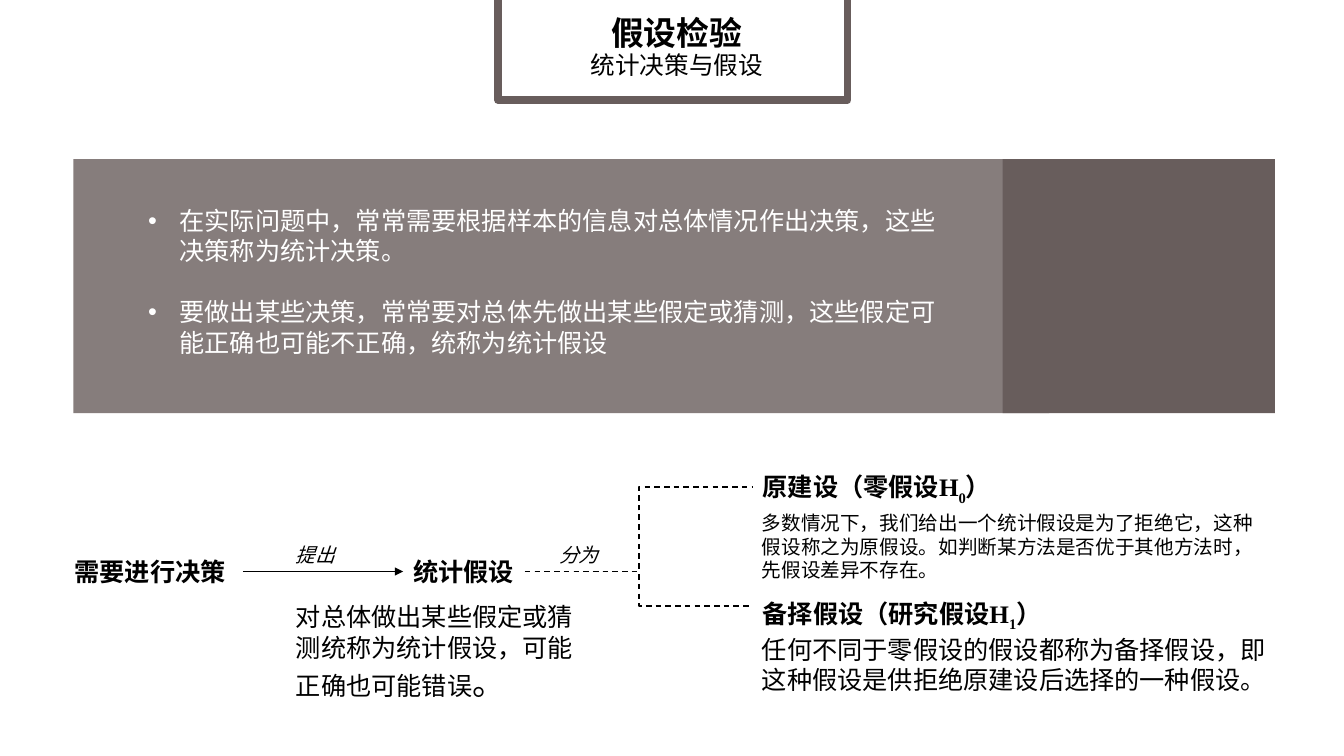
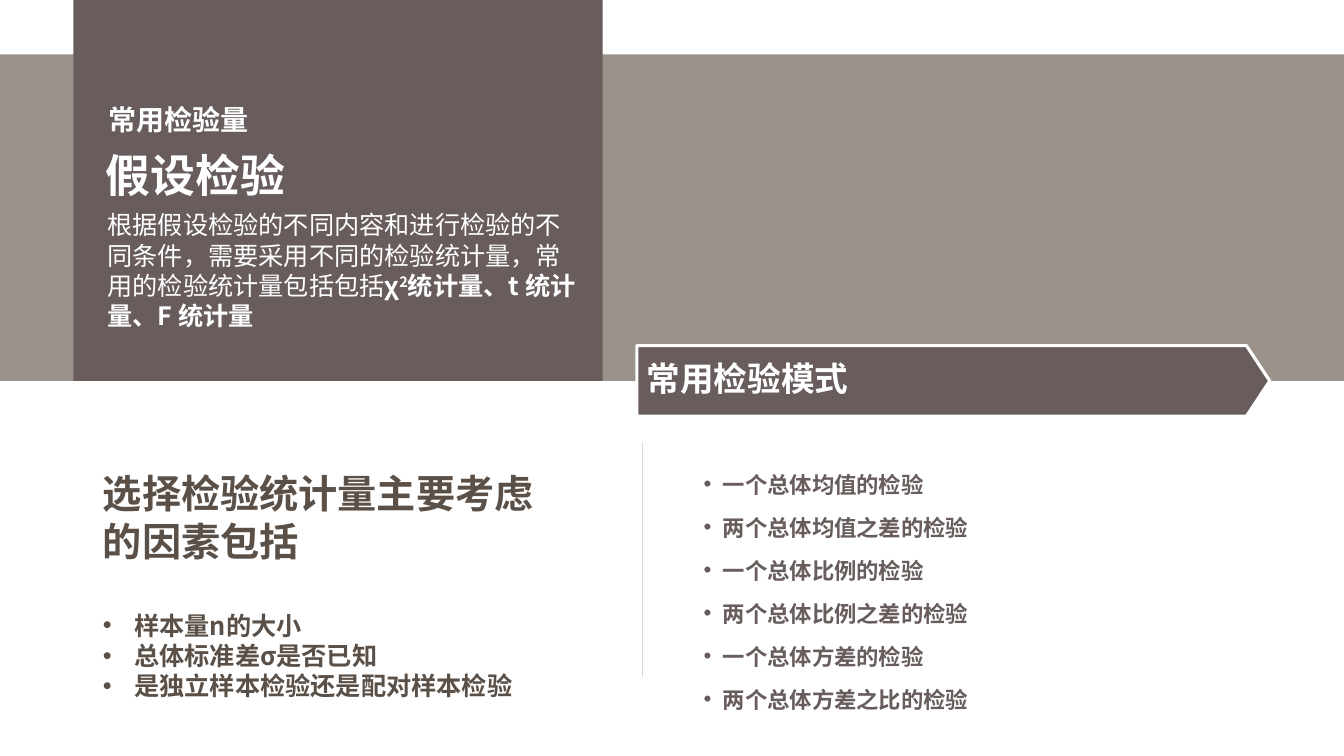
from copy import deepcopy

from lxml.etree import SubElement
from pptx import Presentation
from pptx.dml.color import RGBColor
from pptx.enum.dml import MSO_LINE
from pptx.enum.shapes import MSO_CONNECTOR as LINK, MSO_SHAPE as SHAPE
from pptx.enum.text import MSO_ANCHOR as ANCHOR, MSO_AUTO_SIZE as FIT, PP_ALIGN as ALIGN
from pptx.oxml.ns import qn
from pptx.util import Cm, Pt

COLORS = {
    "dark": "685D5C",
    "taupe": "9B928C",
    "brown": "5B5047",
    "rule": "D9D9D9",
    "black": "000000",
    "white": "FFFFFF",
}
SANS, SERIF, LATIN = "Noto Sans CJK SC", "Times New Roman", "Calibri"


def color(name):
    """Return a named colour of the palette."""
    return RGBColor.from_string(COLORS[name])


def style(p, size, ink="black", font=SANS, bold=False, italic=False, align=ALIGN.LEFT, spacing=1.0, before=0):
    """Format a paragraph and all of its runs."""
    p.alignment, p.line_spacing, p.space_before = align, spacing, Pt(before)
    for r in p.runs:
        r.font.size, r.font.bold, r.font.italic = Pt(size), bold, italic
        r.font.color.rgb = color(ink)
        r.font.name = font
        SubElement(r.font._element, qn("a:ea"), typeface=SANS)


def extend(p, text, baseline=0, **changes):
    """Add a run formatted like the first one, apart from the changes."""
    first, r = p.runs[0], p.add_run()
    r.text = text
    r._r.insert(0, deepcopy(first.font._element))
    r.font._element.set("baseline", str(baseline * 1000))
    for name, value in changes.items():
        setattr(r.font, name, value)


def set_bullet(p, indent):
    """Give a paragraph a hanging bullet, or none when the indent is zero."""
    pPr = p._p.get_or_add_pPr()
    pPr.set("marL", str(Cm(indent)))
    pPr.set("indent", str(-Cm(indent)))
    if indent:
        SubElement(pPr, qn("a:buChar"), char="•")
    else:
        SubElement(pPr, qn("a:buNone"))


def add_block(s, box, fill=None, line=None, width=1, kind=SHAPE.RECTANGLE, opacity=100):
    """Draw a flat preset shape."""
    sp = s.shapes.add_shape(kind, *map(Cm, box))
    sp.shadow.inherit = False
    if fill:
        sp.fill.solid()
        sp.fill.fore_color.rgb = color(fill)
        if opacity < 100:
            SubElement(sp.element.spPr.find(".//" + qn("a:srgbClr")), qn("a:alpha"), val=str(opacity * 1000))
    else:
        sp.fill.background()
    if line:
        sp.line.color.rgb, sp.line.width = color(line), Pt(width)
    else:
        sp.line.fill.background()
    return sp


def add_text(s, box, text, size, **look):
    """Add a wrapped text box and return its paragraph."""
    tf = s.shapes.add_textbox(*map(Cm, box)).text_frame
    tf.word_wrap = True
    tf.text = text
    p = tf.paragraphs[0]
    style(p, size, **look)
    return p


def add_link(s, start, end, ink="black", width=1, kind=LINK.STRAIGHT, dashed=False, arrow=False):
    """Join two points with a line."""
    c = s.shapes.add_connector(kind, *map(Cm, start + end))
    c.line.color.rgb, c.line.width = color(ink), Pt(width)
    if dashed:
        c.line.dash_style = MSO_LINE.DASH
    if arrow:
        SubElement(c.line._get_or_add_ln(), qn("a:tailEnd"), type="triangle")
    SubElement(c.element.spPr, qn("a:effectLst"))


def place(s, index, box, text, anchor=ANCHOR.TOP):
    """Move a placeholder to the front and fill it."""
    sp = s.placeholders[index]
    s.shapes.element.append(sp.element)
    sp.left, sp.top, sp.width, sp.height = map(Cm, box)
    tf = sp.text_frame
    tf.auto_size, tf.vertical_anchor, tf.word_wrap = FIT.NONE, anchor, True
    tf.text = text
    return tf.paragraphs


def place_list(s, index, box, items, size, indent, **look):
    """Fill a body placeholder with a bulleted list."""
    paragraphs = place(s, index, box, "\n".join(items))
    for p in paragraphs:
        style(p, size, **look)
        set_bullet(p, indent)
    return paragraphs


def build_decision(prs):
    """Build the slide on statistical decisions and hypotheses."""
    s = prs.slides.add_slide(prs.slide_layouts[1])
    add_block(s, (25.27, 4.01, 6.86, 6.4), "dark")
    add_block(s, (1.85, 4.01, 24.59, 6.4), "dark", opacity=80)
    add_block(s, (12.55, -1.52, 8.81, 4.04), line="dark", width=5.5)
    p = place(s, 0, (12.65, -0.25, 8.81, 2.95), "假设检验\v统计决策与假设", ANCHOR.MIDDLE)[0]
    style(p, 23.4, bold=True, align=ALIGN.CENTER, spacing=0.9)
    p.runs[1].font.size, p.runs[1].font.bold = Pt(17.6), False
    items = place_list(s, 1, (3.48, 5.05, 20.73, 4.11), [
        "在实际问题中，常常需要根据样本的信息对总体情况作出决策，这些决策称为统计决策。",
        "要做出某些决策，常常要对总体先做出某些假定或猜测，这些假定可能正确也可能不正确，统称为统计假设",
    ], 18, 0.79, ink="white")
    items[1].space_before = Pt(22)

    axis, fork = 14.4, (13.23, 14.4)
    for left, width, text in ((1.63, 4.5, "需要进行决策"), (10.16, 3.07, "统计假设")):
        add_text(s, (left, axis - 0.51, width, 1.02), text, 18, font=SERIF, bold=True)
    add_link(s, (6.12, axis), (10.16, axis), arrow=True)
    for left, text in ((7.21, "提出"), (13.84, "分为")):
        add_text(s, (left, 13.55, 4.5, 0.86), text, 14, font=SERIF, italic=True)
    for y, text, number in ((12.27, "原建设（零假设H", "0"), (15.27, "备择假设（研究假设H", "1")):
        add_link(s, fork, (18.97, y), kind=LINK.ELBOW, dashed=True)
        top = y - 0.51 if number == "0" else y - 0.33
        p = add_text(s, (18.97, top, 8.89, 1.02), text, 18, font=SERIF, bold=True)
        extend(p, number, -25)
        extend(p, "）")
    p = add_text(s, (7.21, 15.04, 7.85, 2.82),
                 "对总体做出某些假定或猜测统称为统计假设，可能正确也可能错误", 18, font=LATIN)
    extend(p, "。", size=Pt(24))
    add_text(s, (18.95, 12.75, 13.18, 2.06),
             "多数情况下，我们给出一个统计假设是为了拒绝它，这种假设称之为原假设。"
             "如判断某方法是否优于其他方法时，先假设差异不存在。", 14)
    add_text(s, (18.95, 15.85, 13.49, 1.8),
             "任何不同于零假设的假设都称为备择假设，即这种假设是供拒绝原建设后选择的一种假设。", 18, font=LATIN)


def build_statistics(prs):
    """Build the slide on common test statistics."""
    s = prs.slides.add_slide(prs.slide_layouts[3])
    add_block(s, (0, 1.37, 33.87, 8.23), "taupe")
    sp = add_block(s, (16.05, 8.71, 15.95, 1.78), "dark", "white", 2.25, SHAPE.PENTAGON)
    sp.adjustments[0] = 0.33
    sp.text_frame.text = "常用检验模式"
    style(sp.text_frame.paragraphs[0], 24, "white", LATIN, bold=True, spacing=0.9)
    add_block(s, (1.85, 0, 13.34, 9.6), "dark")
    add_link(s, (16.18, 11.15), (16.18, 17.07), "rule", 0.25)

    p = place(s, 0, (2.41, 2.92, 12.95, 1.88), "假设检验")[0]
    style(p, 32, "white", bold=True, spacing=1.5)
    add_text(s, (2.49, 2.03, 5, 1.55), "常用检验量", 20, ink="white", bold=True, spacing=1.5)
    p = add_text(s, (2.46, 5.16, 12.34, 3.33),
                 "根据假设检验的不同内容和进行检验的不同条件，需要采用不同的检验统计量，常用的检验统计量包括包括",
                 18, ink="white")
    for text, baseline in (("χ", 0), ("2", 30), ("统计量、t 统计量、F 统计量", 0)):
        extend(p, text, baseline, bold=True)

    heading, *factors = place(s, 1, (2.34, 11.71, 12.34, 7.34), "\n".join([
        "选择检验统计量主要考虑的因素包括",
        "样本量n的大小",
        "总体标准差σ是否已知",
        "是独立样本检验还是配对样本检验",
    ]))
    style(heading, 28, "brown", bold=True)
    set_bullet(heading, 0)
    for p in factors:
        style(p, 18, "brown", bold=True)
        set_bullet(p, 0.79)
    factors[0].space_before = Pt(33)
    tests = [f"{count}个总体{subject}的检验" for count, subject in (
        ("一", "均值"), ("两", "均值之差"), ("一", "比例"),
        ("两", "比例之差"), ("一", "方差"), ("两", "方差之比"))]
    place_list(s, 2, (17.48, 11.33, 15.6, 5.54), tests, 16, 0.48, ink="dark", bold=True, spacing=1.6)


def main():
    """Build and save the presentation."""
    prs = Presentation()
    prs.slide_width, prs.slide_height = Cm(33.87), Cm(19.05)
    build_decision(prs)
    build_statistics(prs)
    prs.save("out.pptx")


if __name__ == "__main__":
    main()
